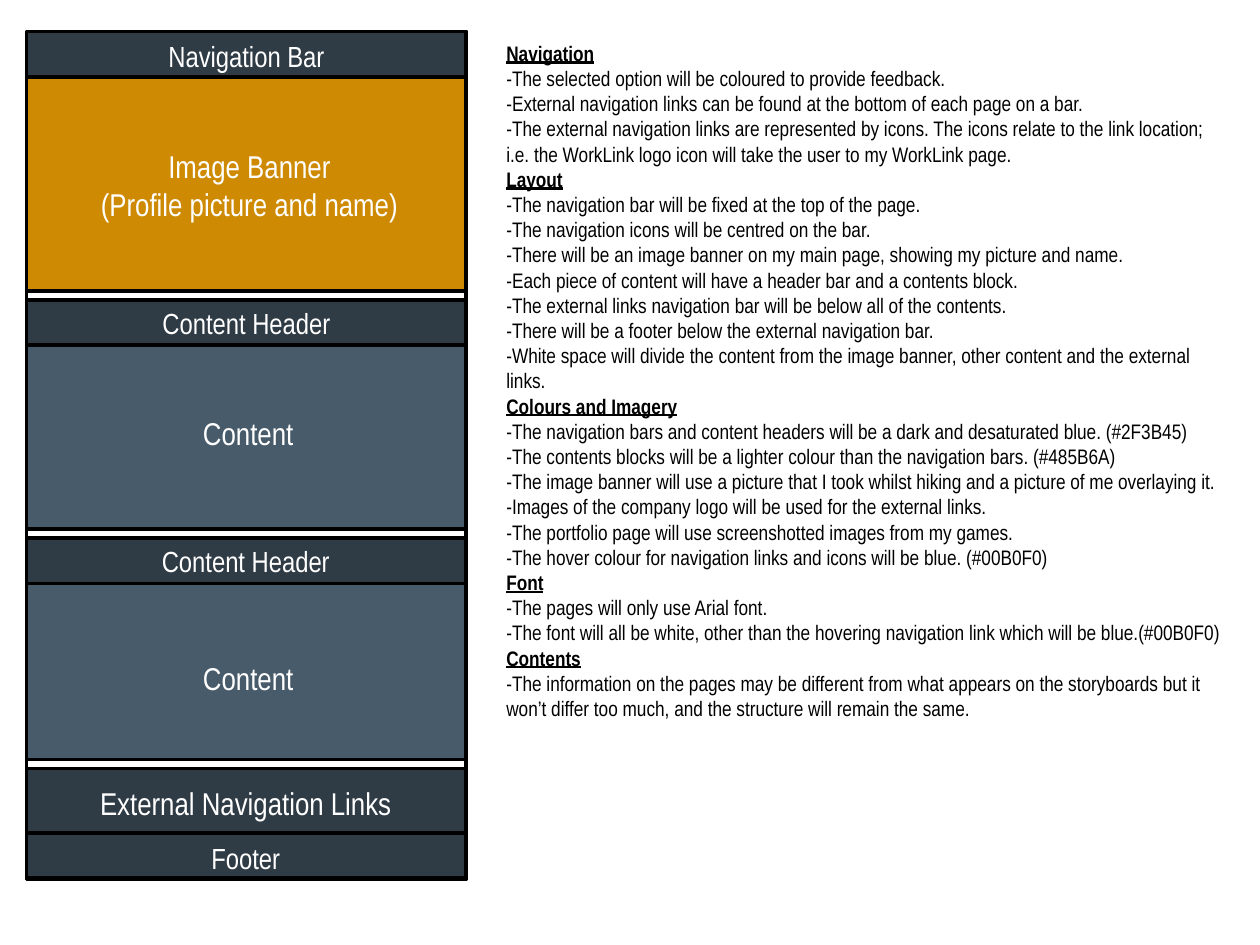
import copy
from dataclasses import dataclass

import pptx
import pptx.dml.color
import pptx.enum.shapes
import pptx.enum.text
import pptx.oxml.ns
import pptx.util
from pptx.enum.text import MSO_ANCHOR, MSO_AUTO_SIZE, PP_ALIGN

EMU_PER_PX = 9144  # 100 px to the inch


@dataclass(frozen=True)
class Theme:
    font: str = "Arial Narrow"
    dark: str = "2F3B45"
    light: str = "485B6A"
    banner: str = "CE8A02"
    outline: str = "000000"
    guideline_colour: str = "000000"
    label_colour: str = "FFFFFF"
    outline_width: int = 2
    guideline_size: float = 12
    bar_size: float = 16.6
    block_size: float = 18


THEME = Theme()


@dataclass(frozen=True)
class Box:
    left: int
    top: int
    width: int
    height: int

    def emu(self) -> list[pptx.util.Emu]:
        return [pptx.util.Emu(px * EMU_PER_PX)
                for px in (self.left, self.top, self.width, self.height)]


@dataclass(frozen=True)
class Band:
    """One strip of the page mock-up, with white space above it."""
    height: int
    fill: str
    label: str
    label_box: Box
    size: float
    space_above: int = 0


@dataclass(frozen=True)
class Section:
    heading: str
    points: tuple[str, ...]


FRAME = Box(21, 25, 349, 673)
BAR_HEIGHT = 36
WHITE_SPACE = 7

BANDS = (
    Band(BAR_HEIGHT, THEME.dark, "Navigation Bar", Box(98, 27, 195, 35), THEME.bar_size),
    Band(170, THEME.banner, "Image Banner\n(Profile picture and name)",
         Box(23, 89, 350, 115), THEME.block_size),
    Band(BAR_HEIGHT, THEME.dark, "Content Header", Box(86, 239, 219, 35),
         THEME.bar_size, WHITE_SPACE),
    Band(146, THEME.light, "Content", Box(22, 308, 350, 71), THEME.block_size),
    Band(BAR_HEIGHT, THEME.dark, "Content Header", Box(99, 428, 192, 35),
         THEME.bar_size, WHITE_SPACE),
    Band(140, THEME.light, "Content", Box(22, 510, 350, 56), THEME.block_size),
    Band(51, THEME.dark, "External Navigation Links", Box(64, 613, 262, 48),
         THEME.block_size, WHITE_SPACE),
    Band(BAR_HEIGHT, THEME.dark, "Footer", Box(99, 663, 192, 35), THEME.bar_size),
)

GUIDELINES_BOX = Box(392, 27, 592, 555)
SECTIONS = (
    Section("Navigation", (
        "-The selected option will be coloured to provide feedback.",
        "-External navigation links can be found at the bottom of each page on a bar.",
        "-The external navigation links are represented by icons. The icons relate to the "
        "link location; i.e. the WorkLink logo icon will take the user to my WorkLink page.",
    )),
    Section("Layout", (
        "-The navigation bar will be fixed at the top of the page.\n"
        "-The navigation icons will be centred on the bar.",
        "-There will be an image banner on my main page, showing my picture and name.",
        "-Each piece of content will have a header bar and a contents block.",
        "-The external links navigation bar will be below all of the contents.",
        "-There will be a footer below the external navigation bar.",
        "-White space will divide the content from the image banner, other content and the "
        "external links.",
    )),
    Section("Colours and Imagery", (
        "-The navigation bars and content headers will be a dark and desaturated blue. (#2F3B45)",
        "-The contents blocks will be a lighter colour than the navigation bars. (#485B6A)",
        "-The image banner will use a picture that I took whilst hiking and a picture of me "
        "overlaying it.",
        "-Images of the company logo will be used for the external links.",
        "-The portfolio page will use screenshotted images from my games.",
        "-The hover colour for navigation links and icons will be blue. (#00B0F0)",
    )),
    Section("Font", (
        "-The pages will only use Arial font.",
        "-The font will all be white, other than the hovering navigation link which will be "
        "blue.(#00B0F0)",
    )),
    Section("Contents", (
        "-The information on the pages may be different from what appears on the storyboards "
        "but it won’t differ too much, and the structure will remain the same.",
    )),
)


def rgb(colour: str) -> pptx.dml.color.RGBColor:
    return pptx.dml.color.RGBColor.from_string(colour)


def write(paragraph, text: str, *, size: float, colour: str,
          heading: bool = False, align=PP_ALIGN.LEFT) -> None:
    """Fill a paragraph; a newline in the text becomes a line break of the same size."""
    paragraph.text = text
    paragraph.alignment = align
    for run in paragraph.runs:
        run.font.name = THEME.font
        run.font.size = pptx.util.Pt(size)
        run.font.color.rgb = rgb(colour)
        run.font.bold = heading
        run.font.underline = heading
    for line_break in paragraph._p.findall(pptx.oxml.ns.qn("a:br")):
        line_break.append(copy.deepcopy(paragraph.runs[0]._r.rPr))


def add_text_frame(slide, box: Box, anchor, auto_size):
    frame = slide.shapes.add_textbox(*box.emu()).text_frame
    frame.word_wrap = True
    frame.vertical_anchor = anchor
    frame.auto_size = auto_size
    return frame


def add_rectangle(slide, box: Box, fill: str | None = None) -> None:
    rectangle = slide.shapes.add_shape(
        pptx.enum.shapes.MSO_SHAPE.RECTANGLE, *box.emu())
    rectangle.shadow.inherit = False
    if fill is None:
        rectangle.fill.background()
    else:
        rectangle.fill.solid()
        rectangle.fill.fore_color.rgb = rgb(fill)
    rectangle.line.color.rgb = rgb(THEME.outline)
    rectangle.line.width = pptx.util.Pt(THEME.outline_width)


def add_guidelines(slide) -> None:
    frame = add_text_frame(slide, GUIDELINES_BOX, MSO_ANCHOR.TOP,
                           MSO_AUTO_SIZE.SHAPE_TO_FIT_TEXT)
    lines = [(text, text == section.heading)
             for section in SECTIONS
             for text in (section.heading, *section.points)]
    for index, (text, heading) in enumerate(lines):
        paragraph = frame.add_paragraph() if index else frame.paragraphs[0]
        write(paragraph, text, size=THEME.guideline_size,
              colour=THEME.guideline_colour, heading=heading)


def add_label(slide, band: Band) -> None:
    frame = add_text_frame(slide, band.label_box, MSO_ANCHOR.MIDDLE, MSO_AUTO_SIZE.NONE)
    for index, text in enumerate(band.label.split("\n")):
        paragraph = frame.add_paragraph() if index else frame.paragraphs[0]
        write(paragraph, text, size=band.size, colour=THEME.label_colour,
              align=PP_ALIGN.CENTER)


def add_mockup(slide) -> None:
    add_rectangle(slide, FRAME)
    top = FRAME.top
    for band in BANDS:
        top += band.space_above
        add_rectangle(slide, Box(FRAME.left, top, FRAME.width, band.height), band.fill)
        top += band.height
    for band in BANDS:
        add_label(slide, band)


def main() -> None:
    presentation = pptx.Presentation()
    presentation.slide_width = pptx.util.Emu(1000 * EMU_PER_PX)
    presentation.slide_height = pptx.util.Emu(750 * EMU_PER_PX)
    slide = presentation.slides.add_slide(presentation.slide_layouts[6])
    add_guidelines(slide)
    add_mockup(slide)
    presentation.save("out.pptx")


if __name__ == "__main__":
    main()
